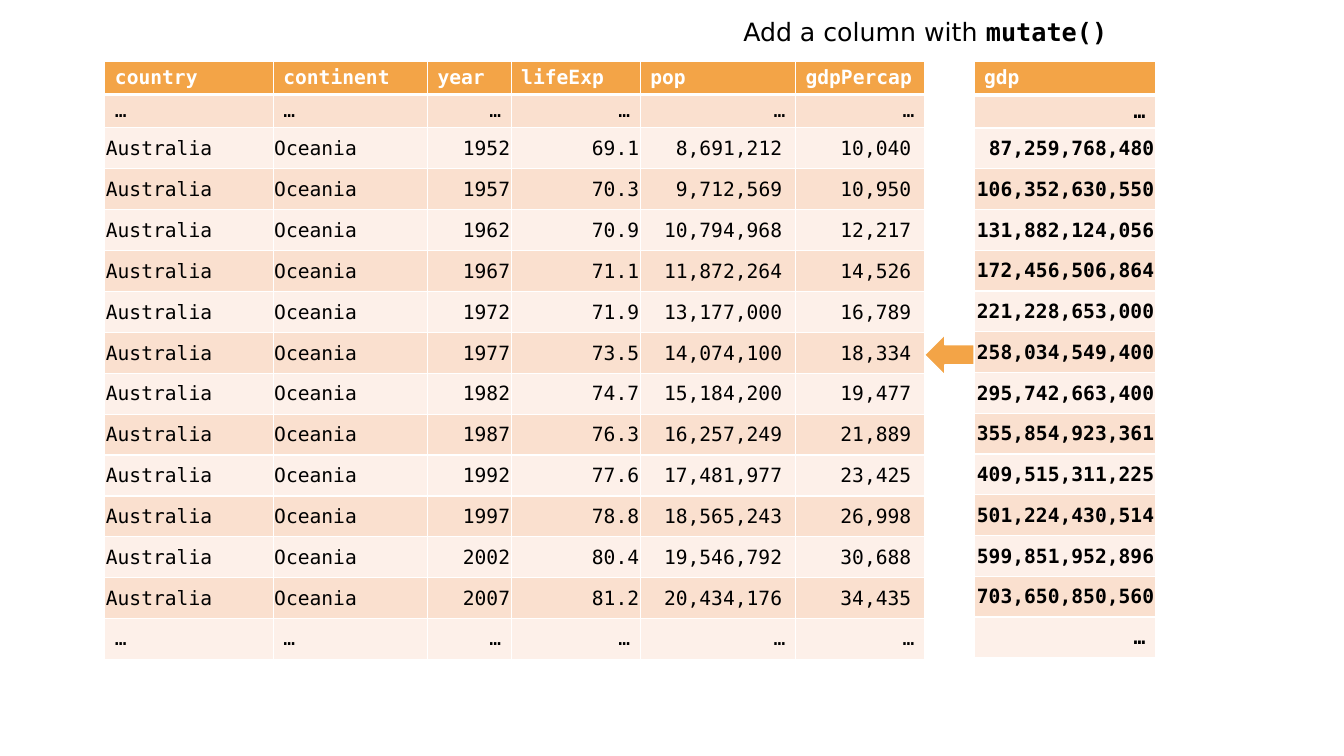
"""Build a slide showing how mutate() adds a gdp column to a table."""
from dataclasses import dataclass

from lxml import etree
from pptx import Presentation
from pptx import util as u
from pptx.dml.color import RGBColor
from pptx.enum import shapes, text
from pptx.oxml.ns import qn


@dataclass(frozen=True)
class Theme:
    accent: str = "F3A447"
    dark_band: str = "FAE0CF"
    light_band: str = "FDF0E9"
    white: str = "FFFFFF"
    black: str = "000000"
    sans: str = "DejaVu Sans"
    mono: str = "DejaVu Sans Mono"
    title_size: int = 18
    table_size: int = 14


@dataclass(frozen=True)
class Column:
    name: str
    width: float
    values: list[str]
    numeric: bool = True
    bold: bool = False
    right_inset: float = 0.01


@dataclass(frozen=True)
class DataTable:
    left: float
    head_height: float
    columns: list[Column]


THEME = Theme()
TOP, HEIGHT = 0.61, 5.92
YEARS = [str(year) for year in range(1952, 2008, 5)]
LIFE_EXP = "69.1 70.3 70.9 71.1 71.9 73.5 74.7 76.3 77.6 78.8 80.4 81.2".split()
POP = [
    "8,691,212", "9,712,569", "10,794,968", "11,872,264",
    "13,177,000", "14,074,100", "15,184,200", "16,257,249",
    "17,481,977", "18,565,243", "19,546,792", "20,434,176",
]
GDP_PERCAP = [
    "10,040", "10,950", "12,217", "14,526", "16,789", "18,334",
    "19,477", "21,889", "23,425", "26,998", "30,688", "34,435",
]
GDP = [
    "87,259,768,480", "106,352,630,550", "131,882,124,056",
    "172,456,506,864", "221,228,653,000", "258,034,549,400",
    "295,742,663,400", "355,854,923,361", "409,515,311,225",
    "501,224,430,514", "599,851,952,896", "703,650,850,560",
]
TABLES = [
    DataTable(1.04, 0.32, [
        Column("country", 1.67, ["Australia"] * len(YEARS), numeric=False),
        Column("continent", 1.53, ["Oceania"] * len(YEARS), numeric=False),
        Column("year", 0.83, YEARS),
        Column("lifeExp", 1.28, LIFE_EXP),
        Column("pop", 1.54, POP, right_inset=0.13),
        Column("gdpPercap", 1.28, GDP_PERCAP, right_inset=0.13),
    ]),
    DataTable(9.66, 0.33, [Column("gdp", 1.8, GDP, bold=True)]),
]


def rgb(color: str) -> RGBColor:
    """Turn a hex string into a colour."""
    return RGBColor.from_string(color)


def add_borders(cell, top: int, bottom: int) -> None:
    """Draw white borders around a cell, with widths in points."""
    tc_pr = cell._tc.get_or_add_tcPr()
    for side, width in (("L", 1), ("R", 1), ("T", top), ("B", bottom)):
        ln = etree.SubElement(tc_pr, qn(f"a:ln{side}"), w=str(u.Pt(width)))
        fill = etree.SubElement(ln, qn("a:solidFill"))
        etree.SubElement(fill, qn("a:srgbClr"), val=THEME.white)


def fill_cell(cell, value: str, row: int, column: Column) -> None:
    """Write and style one cell of a column."""
    header = row == 0
    add_borders(cell, top=3 if row == 1 else 1, bottom=3 if header else 1)
    band = THEME.dark_band if row % 2 else THEME.light_band
    cell.fill.solid()
    cell.fill.fore_color.rgb = rgb(THEME.accent if header else band)
    if not header:
        cell.vertical_anchor = text.MSO_ANCHOR.MIDDLE
        if value != "…":
            cell.margin_left = cell.margin_top = u.Inches(0.01)
            cell.margin_right = u.Inches(column.right_inset)
            cell.margin_bottom = 0
    p = cell.text_frame.paragraphs[0]
    p.text = value
    if column.numeric and not header:
        p.alignment = text.PP_ALIGN.RIGHT
    p.font.name = THEME.mono
    p.font.size = u.Pt(THEME.table_size)
    p.font.bold = header or column.bold
    p.font.color.rgb = rgb(THEME.white if header else THEME.black)


def add_data_table(s, data: DataTable) -> None:
    """Add one banded table with ellipsis rows around its values."""
    row_count = len(YEARS) + 3
    width = sum(column.width for column in data.columns)
    table = s.shapes.add_table(
        row_count, len(data.columns), u.Inches(data.left), u.Inches(TOP),
        u.Inches(width), u.Inches(HEIGHT)).table
    body_height = (HEIGHT - 2 * data.head_height) / (row_count - 2)
    for i, row in enumerate(table.rows):
        row.height = u.Inches(data.head_height if i < 2 else body_height)
    for j, column in enumerate(data.columns):
        table.columns[j].width = u.Inches(column.width)
        for i, value in enumerate([column.name, "…", *column.values, "…"]):
            fill_cell(table.cell(i, j), value, i, column)


def add_title(s) -> None:
    """Add the right-aligned title with its function name in bold."""
    box = s.shapes.add_textbox(
        u.Inches(5.48), u.Inches(0.11), u.Inches(5.6), u.Inches(0.4))
    tf = box.text_frame
    tf.word_wrap = True
    tf.auto_size = text.MSO_AUTO_SIZE.SHAPE_TO_FIT_TEXT
    p = tf.paragraphs[0]
    p.alignment = text.PP_ALIGN.RIGHT
    p.font.size = u.Pt(THEME.title_size)
    p.font.color.rgb = rgb(THEME.black)
    for words, font, bold in (("Add a column with ", THEME.sans, False),
                              ("mutate()", THEME.mono, True)):
        r = p.add_run()
        r.text = words
        r.font.name = font
        r.font.bold = bold


def add_arrow(s) -> None:
    """Add the arrow that points from the new column to the table."""
    arrow = s.shapes.add_shape(
        shapes.MSO_SHAPE.RIGHT_ARROW, u.Inches(9.17), u.Inches(3.32),
        u.Inches(0.49), u.Inches(0.4))
    arrow.rotation = 180
    arrow.shadow.inherit = False
    arrow.fill.solid()
    arrow.fill.fore_color.rgb = rgb(THEME.accent)
    arrow.line.color.rgb = rgb(THEME.white)
    arrow.line.width = u.Pt(1)


def main() -> None:
    """Build and save the presentation."""
    prs = Presentation()
    prs.slide_width, prs.slide_height = u.Inches(13.33), u.Inches(7.5)
    s = prs.slides.add_slide(prs.slide_layouts[6])
    for data in TABLES:
        add_data_table(s, data)
    add_title(s)
    add_arrow(s)
    prs.save("out.pptx")


if __name__ == "__main__":
    main()
